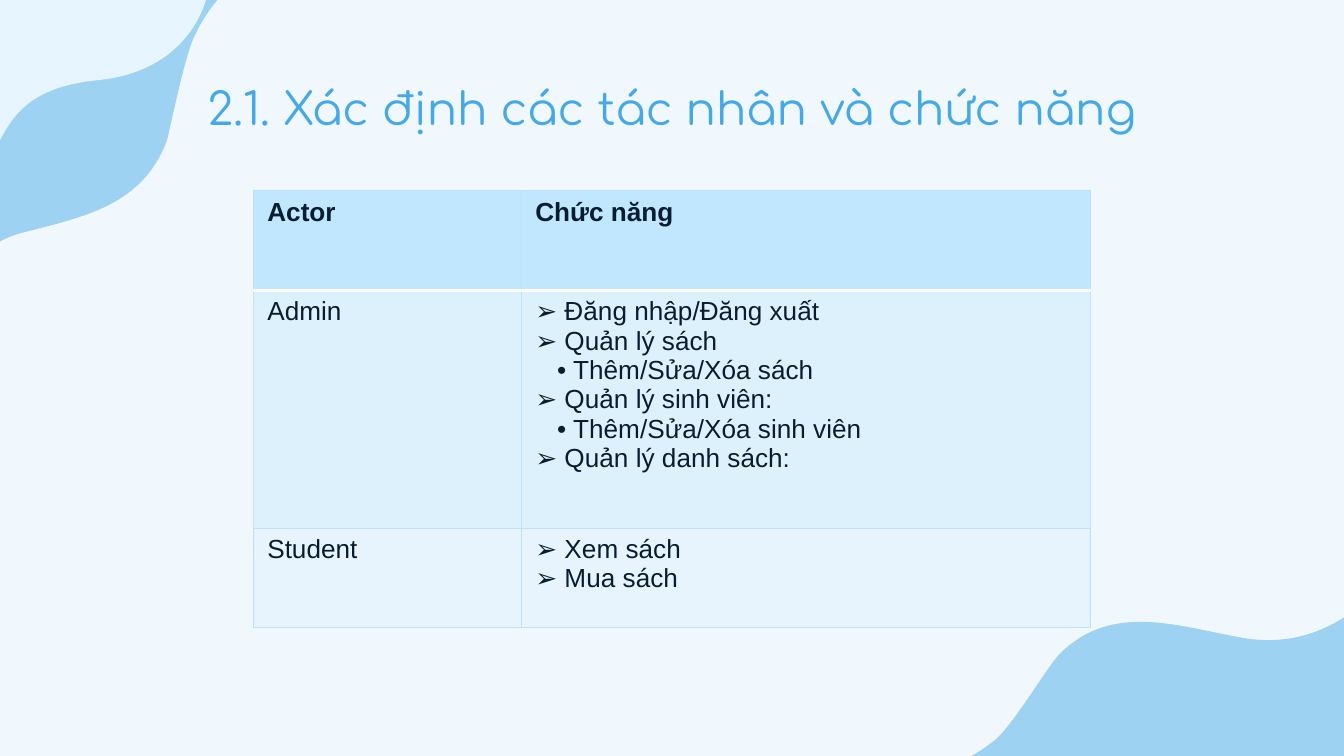
from dataclasses import dataclass

import lxml.etree
import pptx
import pptx.dml.color
import pptx.enum.text
import pptx.oxml.ns
import pptx.util

Pt = pptx.util.Pt
RGBColor = pptx.dml.color.RGBColor
qn = pptx.oxml.ns.qn

SKY = RGBColor(0x46, 0xA9, 0xE7)
WAVE = RGBColor(0x9E, 0xD2, 0xF2)
FOAM = RGBColor(0xE6, 0xF5, 0xFF)
ICE = RGBColor(0xC1, 0xE7, 0xFF)
GRID = RGBColor(0xBB, 0xE2, 0xFB)
WHITE = RGBColor(0xFF, 0xFF, 0xFF)
INK = RGBColor(0x09, 0x1D, 0x31)

UNITS_PER_POINT = 100


@dataclass
class Wave:
    """Closed outline in points: pairs are lines, sextuples are Bezier curves."""
    color: RGBColor
    start: tuple
    segments: list


@dataclass
class Item:
    text: str
    indent: float = 0


@dataclass
class Row:
    actor: str
    functions: list
    height: float
    opacity: int
    bold: bool = False


WAVES = [
    Wave(WAVE, (514, 408), [
        (520.5, 405.5, 526.5, 401.5, 533, 396.5), (543.5, 387.5, 561, 357, 568, 350),
        (596, 322.5, 631, 335.5, 664.5, 341.5), (683.5, 345, 701.5, 342, 718, 332),
        (732, 323.5, 764, 297.5, 795, 306.5), (773, 408)]),
    Wave(WAVE, (157, -45.5), [
        (151, -32.5, 140, -22.5, 129.5, -13), (118, -3, 110, 6.5, 103.5, 21),
        (98.5, 33, 92, 65, 89.5, 75), (76.5, 111, 43, 116.5, 13, 124.5),
        (6, 126, -0.5, 129.5, -6.5, 133), (-6.5, -1.5), (-10, -68.5), (160, -68.5),
        (161.5, -61, 160.5, -52.5, 157, -45.5)]),
    Wave(FOAM, (-67.5, -18), [
        (113.5, -18), (112.5, 10, 94.5, 39, 52, 43),
        (5, 48, 1.5, 71, -13.5, 108), (-27.5, 142.5, -55.5, 147.5, -67.5, 148.5)]),
]

SUB_INDENT = 11.7
ROWS = [
    Row("Actor", [Item("Chức năng")], 53.28, 100, True),
    Row("Admin", [
        Item("➢ Đăng nhập/Đăng xuất"),
        Item("➢ Quản lý sách"),
        Item("• Thêm/Sửa/Xóa sách", SUB_INDENT),
        Item("➢ Quản lý sinh viên:"),
        Item("• Thêm/Sửa/Xóa sinh viên", SUB_INDENT),
        Item("➢ Quản lý danh sách:")], 127.44, 40),
    Row("Student", [Item("➢ Xem sách"), Item("➢ Mua sách")], 53.28, 20),
]
COLUMN_WIDTHS = [143.6, 304.8]


def set_opacity(fill_parent, percent: int) -> None:
    color = next(fill_parent.iter(qn("a:srgbClr")))
    lxml.etree.SubElement(color, qn("a:alpha"), val=str(percent * 1000))


def draw_wave(slide, wave: Wave) -> None:
    anchors = [wave.start] + [segment[-2:] for segment in wave.segments]
    left, top = (min(anchor[axis] for anchor in anchors) for axis in (0, 1))
    builder = slide.shapes.build_freeform(
        *(value * UNITS_PER_POINT for value in wave.start),
        scale=Pt(1) / UNITS_PER_POINT)
    builder.add_line_segments(
        [tuple(value * UNITS_PER_POINT for value in anchor) for anchor in anchors[1:]],
        close=True)
    outline = builder.convert_to_shape()

    # Bend the straight segments that have control points
    lines = list(outline._element.iter(qn("a:lnTo")))
    for line, segment in zip(lines, wave.segments):
        if len(segment) == 6:
            curve = lxml.etree.Element(qn("a:cubicBezTo"))
            for x, y in zip(segment[::2], segment[1::2]):
                lxml.etree.SubElement(curve, qn("a:pt"),
                                      x=str(round((x - left) * UNITS_PER_POINT)),
                                      y=str(round((y - top) * UNITS_PER_POINT)))
            line.getparent().replace(line, curve)

    outline.shadow.inherit = False
    outline.fill.solid()
    outline.fill.fore_color.rgb = wave.color
    outline.line.fill.background()


def set_borders(cell, edges: dict) -> None:
    properties = cell._tc.get_or_add_tcPr()
    for position, edge in enumerate(("L", "R", "T", "B")):
        color, width = edges.get(edge, (GRID, 0.75))
        border = lxml.etree.Element(qn(f"a:ln{edge}"), w=str(Pt(width)))
        fill = lxml.etree.SubElement(border, qn("a:solidFill"))
        lxml.etree.SubElement(fill, qn("a:srgbClr"), val=str(color))
        properties.insert(position, border)


def write_items(cell, items: list, bold: bool) -> None:
    frame = cell.text_frame
    for index, item in enumerate(items):
        line = frame.add_paragraph() if index else frame.paragraphs[0]
        line.text = item.text
        line.font.name = "Arial"
        line.font.size = Pt(14)
        line.font.bold = bold
        line.font.color.rgb = INK
        if item.indent:
            line._p.get_or_add_pPr().set("marL", str(Pt(item.indent)))


def draw_table(slide) -> None:
    table = slide.shapes.add_table(
        len(ROWS), len(COLUMN_WIDTHS), Pt(136), Pt(102.24),
        Pt(sum(COLUMN_WIDTHS)), Pt(sum(row.height for row in ROWS))).table
    table.first_row = True
    table.horz_banding = False
    for column, width in zip(table.columns, COLUMN_WIDTHS):
        column.width = Pt(width)
    header_rule = (WHITE, 2)
    for index, row in enumerate(ROWS):
        table.rows[index].height = Pt(row.height)
        edges = {0: {"B": header_rule}, 1: {"T": header_rule}}.get(index, {})
        for cell, items in zip(table.rows[index].cells, ([Item(row.actor)], row.functions)):
            cell.fill.solid()
            cell.fill.fore_color.rgb = ICE
            if row.opacity < 100:
                set_opacity(cell._tc.tcPr, row.opacity)
            set_borders(cell, edges)
            write_items(cell, items, row.bold)


def main() -> None:
    deck = pptx.Presentation()
    deck.slide_width, deck.slide_height = Pt(720), Pt(405)
    slide = deck.slides.add_slide(deck.slide_layouts[5])

    # Background and corner waves
    slide.background.fill.solid()
    slide.background.fill.fore_color.rgb = SKY
    set_opacity(slide.background._cSld.bg, 7)
    for wave in WAVES:
        draw_wave(slide, wave)

    # Title
    title = slide.shapes.title
    title.left, title.top, title.width, title.height = Pt(76.5), Pt(35.2), Pt(566.5), Pt(45)
    frame = title.text_frame
    frame.text = "2.1. Xác định các tác nhân và chức năng"
    frame.word_wrap = True
    frame.auto_size = pptx.enum.text.MSO_AUTO_SIZE.NONE
    frame.vertical_anchor = pptx.enum.text.MSO_ANCHOR.MIDDLE
    frame.margin_left = frame.margin_right = frame.margin_top = frame.margin_bottom = Pt(7.2)
    heading = frame.paragraphs[0]
    heading.alignment = pptx.enum.text.PP_ALIGN.CENTER
    heading.font.name = "Comfortaa"
    heading.font.size = Pt(24)
    heading.font.color.rgb = SKY

    # Actors and their functions
    draw_table(slide)
    deck.save("out.pptx")


if __name__ == "__main__":
    main()
